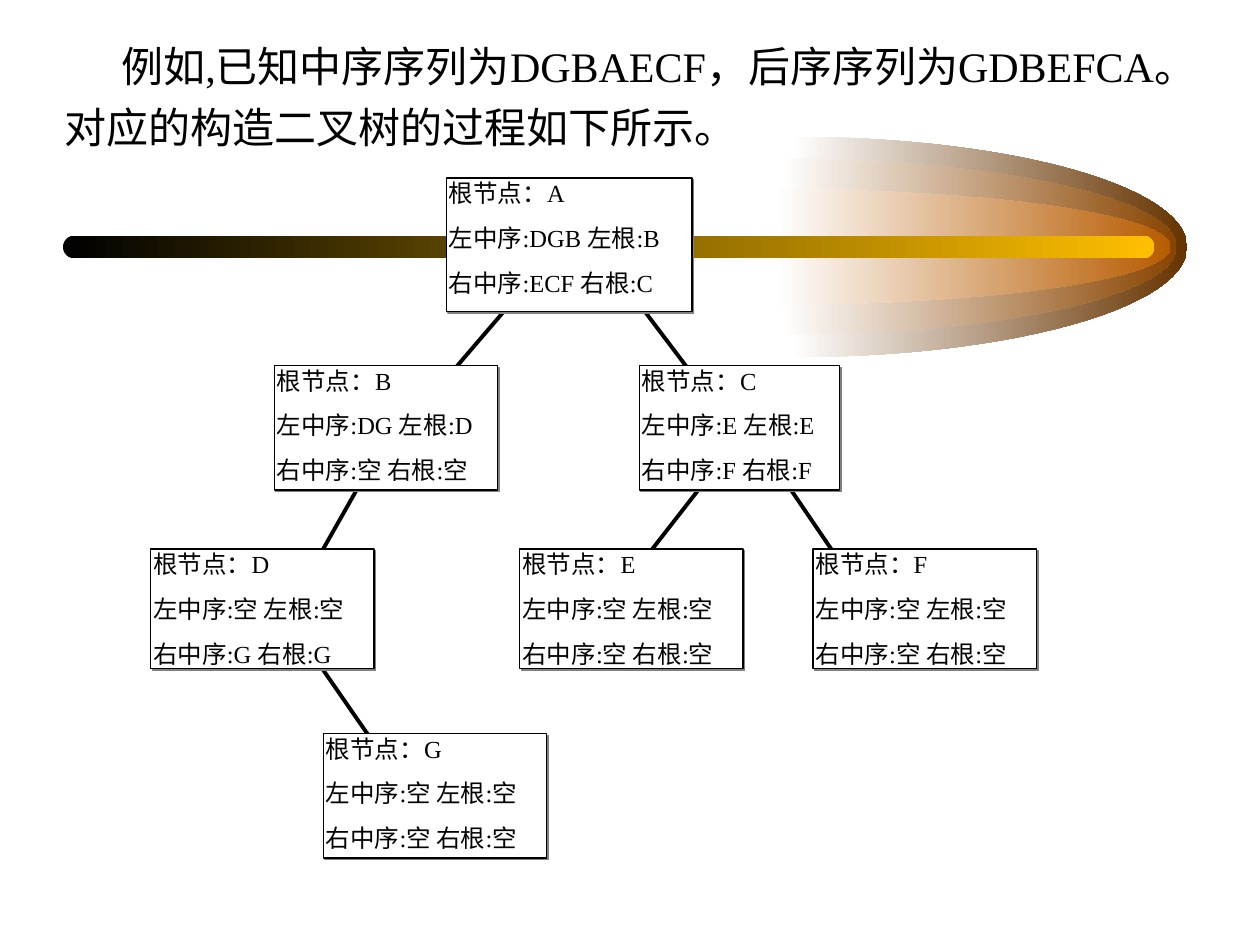
"""Build a slide that reconstructs a binary tree from its inorder and postorder sequences."""
import pptx
import pptx.dml.color
import pptx.enum.shapes
import pptx.enum.text
import pptx.oxml
import pptx.util
from pptx.util import Cm

COLORS = {
    "paper": "FFFFFF", "ink": "000000", "shadow": "808080", "gold": "FFBF00",
    "outer": "663300", "middle": "894400", "inner": "B75B00",
}
FONT = "Times New Roman"
DRAWING_NS = "http://schemas.openxmlformats.org/drawingml/2006/main"
TITLE = "例如,已知中序序列为DGBAECF，后序序列为GDBEFCA。对应的构造二叉树的过程如下所示。"
AXIS_Y = 4.98
FLAME_LENGTH = 7.95
ARC_PULL = 0.55
FLAMES = [(15.98, 2.22, "outer"), (15.77, 1.77, "middle"), (15.65, 1.16, "inner")]
EMPTY = ("空", "空")
LEVELS = [(3.59, 2.69), (7.37, 2.51), (11.07, 2.41), (14.79, 2.51)]
NODES = [
    ("A", 0, 9.0, 4.95, ("DGB", "B"), ("ECF", "C")),
    ("B", 1, 5.53, 4.5, ("DG", "D"), EMPTY),
    ("D", 2, 3.04, 4.5, EMPTY, ("G", "G")),
    ("G", 3, 6.52, 4.5, EMPTY, EMPTY),
    ("C", 1, 12.89, 4.04, ("E", "E"), ("F", "F")),
    ("E", 2, 10.48, 4.5, EMPTY, EMPTY),
    ("F", 2, 16.39, 4.5, EMPTY, EMPTY),
]
BRANCHES = [
    (10.49, 5.89, 8.51, 8.2), (12.78, 5.99, 14.45, 8.2),
    (7.42, 9.47, 6.02, 11.94), (6.4, 13.34, 8.0, 15.65),
    (14.27, 9.63, 12.47, 11.94), (15.88, 9.78, 17.35, 11.94),
]


def rgb(name):
    """Return the named colour."""
    return pptx.dml.color.RGBColor.from_string(COLORS[name])


def paint_gradient(shape, start, end):
    """Fill a borderless shape with a left-to-right gradient."""
    shape.shadow.inherit = False
    shape.line.fill.background()
    shape.fill.gradient()
    shape.fill.gradient_angle = 0
    for stop, name in zip(shape.fill.gradient_stops, (start, end)):
        stop.color.rgb = rgb(name)


def style_text(paragraph, size):
    """Set the font of a paragraph."""
    paragraph.font.name = FONT
    paragraph.font.size = pptx.util.Pt(size)
    paragraph.font.color.rgb = rgb("ink")


def bend_edge(edge, points):
    """Replace a straight freeform edge by a cubic curve through the given points."""
    curve = "".join(f'<a:pt x="{int(x)}" y="{int(y)}"/>' for x, y in points)
    edge.getparent().replace(edge, pptx.oxml.parse_xml(
        f'<a:cubicBezTo xmlns:a="{DRAWING_NS}">{curve}</a:cubicBezTo>'))


def add_flame(slide, left, half_height, tip):
    """Add the right half of an ellipse centred on the axis."""
    builder = slide.shapes.build_freeform(Cm(left), Cm(AXIS_Y - half_height))
    builder.add_line_segments([(Cm(left + FLAME_LENGTH), Cm(AXIS_Y)),
                               (Cm(left), Cm(AXIS_Y + half_height))], close=True)
    flame = builder.convert_to_shape()
    width, middle = flame.width, flame.height / 2
    reach, rise = width * ARC_PULL, middle * ARC_PULL
    upper, lower = flame._element.findall(f".//{{{DRAWING_NS}}}lnTo")
    bend_edge(upper, [(reach, 0), (width, middle - rise), (width, middle)])
    bend_edge(lower, [(width, middle + rise), (reach, flame.height), (0, flame.height)])
    paint_gradient(flame, "paper", tip)


def add_bar(slide):
    """Add the rounded bar along the axis."""
    bar = slide.shapes.add_shape(pptx.enum.shapes.MSO_SHAPE.ROUNDED_RECTANGLE,
                                 Cm(1.27), Cm(AXIS_Y - 0.23), Cm(22), Cm(0.46))
    bar.adjustments[0] = 0.5
    paint_gradient(bar, "ink", "gold")


def add_title(slide):
    """Add the introductory sentence."""
    title = slide.shapes.add_textbox(Cm(1.06), Cm(0.49), Cm(24.13), Cm(2.69))
    title.text_frame.word_wrap = True
    sentence = title.text_frame.paragraphs[0]
    sentence.text = TITLE
    sentence.line_spacing = 1.2
    sentence._p.get_or_add_pPr().set("indent", str(Cm(1.14)))
    style_text(sentence, 24)


def add_branch(slide, x1, y1, x2, y2):
    """Add a line from a parent to a child."""
    branch = slide.shapes.add_connector(pptx.enum.shapes.MSO_CONNECTOR.STRAIGHT,
                                        Cm(x1), Cm(y1), Cm(x2), Cm(y2))
    branch.line.color.rgb = rgb("ink")
    branch.line.width = pptx.util.Pt(2.25)
    branch._element.spPr.append(pptx.oxml.parse_xml(f'<a:effectLst xmlns:a="{DRAWING_NS}"/>'))


def add_shadow(shape):
    """Give a shape a hard shadow to the lower right."""
    shape._element.spPr.append(pptx.oxml.parse_xml(
        f'<a:effectLst xmlns:a="{DRAWING_NS}">'
        '<a:outerShdw dist="17780" dir="2700000" algn="ctr" rotWithShape="0">'
        f'<a:srgbClr val="{COLORS["shadow"]}"/></a:outerShdw></a:effectLst>'))


def add_node(slide, root, level, left, width, left_part, right_part):
    """Add a box that states a root and its two subtrees."""
    top, height = LEVELS[level]
    node = slide.shapes.add_shape(pptx.enum.shapes.MSO_SHAPE.RECTANGLE,
                                  Cm(left), Cm(top), Cm(width), Cm(height))
    node.fill.solid()
    node.fill.fore_color.rgb = rgb("paper")
    node.line.color.rgb = rgb("ink")
    node.line.width = pptx.util.Pt(0.75)
    add_shadow(node)
    frame = node.text_frame
    frame.word_wrap = True
    frame.vertical_anchor = pptx.enum.text.MSO_ANCHOR.TOP
    frame.margin_left = Cm(0.05)
    frame.margin_top = frame.margin_right = frame.margin_bottom = 0
    frame.text = "\n".join([f"根节点：{root}",
                            "左中序:{} 左根:{}".format(*left_part),
                            "右中序:{} 右根:{}".format(*right_part)])
    for index, fact in enumerate(frame.paragraphs):
        fact.alignment = pptx.enum.text.PP_ALIGN.JUSTIFY
        if index:
            fact.space_before = pptx.util.Pt(8.8)
        style_text(fact, 14)


def main():
    """Build and save the slide."""
    deck = pptx.Presentation()
    deck.slide_width, deck.slide_height = Cm(25.4), Cm(19.05)
    slide = deck.slides.add_slide(deck.slide_layouts[6])
    for flame in FLAMES:
        add_flame(slide, *flame)
    add_bar(slide)
    add_title(slide)
    for branch in BRANCHES:
        add_branch(slide, *branch)
    for node in NODES:
        add_node(slide, *node)
    deck.save("out.pptx")


if __name__ == "__main__":
    main()
